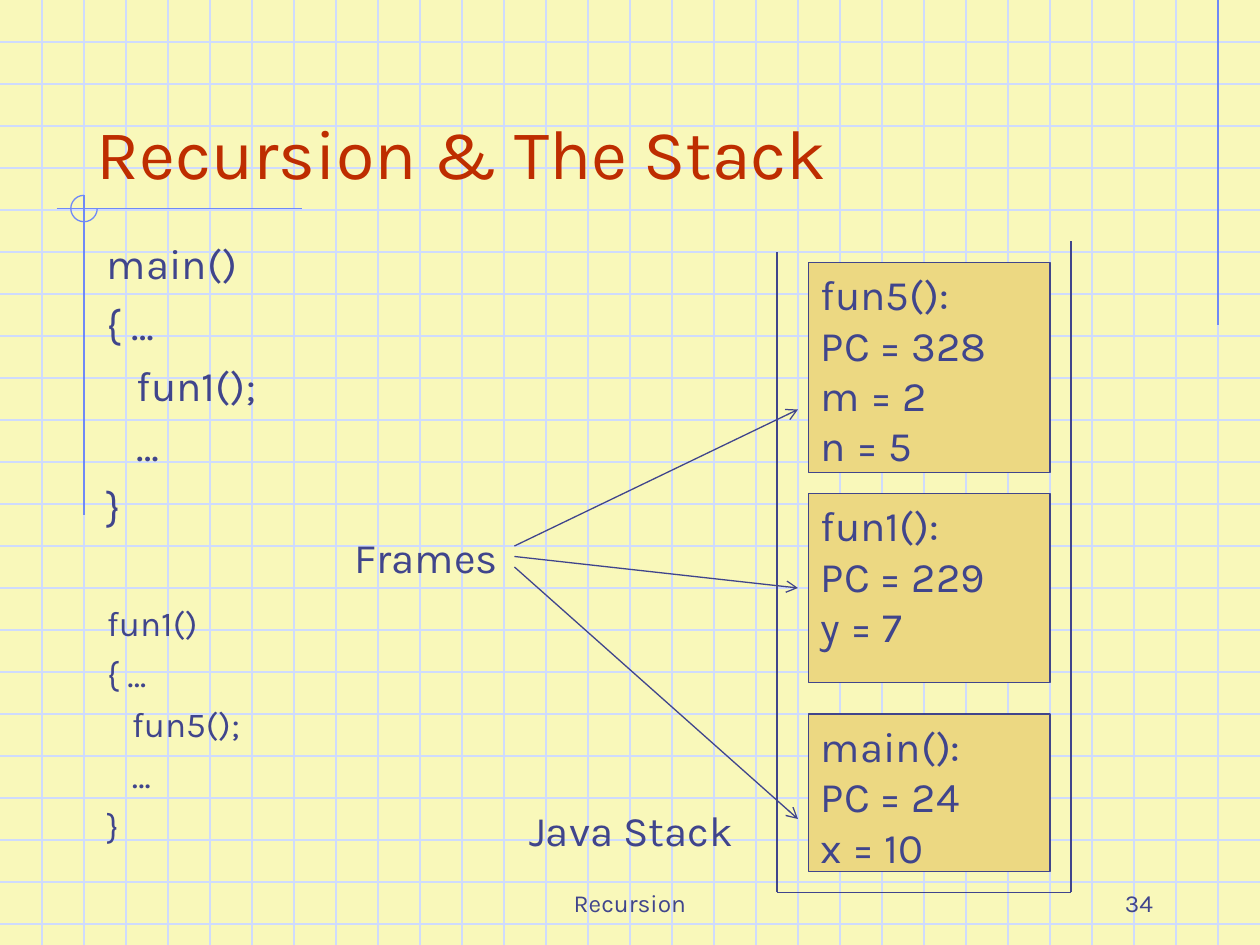
from lxml.etree import SubElement
from pptx import Presentation
from pptx.dml.color import RGBColor
from pptx.enum.shapes import MSO_CONNECTOR, MSO_SHAPE
from pptx.enum.text import MSO_ANCHOR, MSO_AUTO_SIZE, PP_ALIGN
from pptx.oxml.ns import qn
from pptx.util import Inches, Pt

# Every length is in units of a 120 x 90 grid: twelve units to the inch.
COLS, ROWS, CELL = 120, 90, 4
FONT = "Karla"
PAPER, RULE, ACCENT = "F9F8BA", "CFDBFD", "6F89F7"
INK, RED, TAN = "40458C", "BE2D00", "ECD882"

MAIN_CODE = ["main()", "{ …", "   fun1();", "   …", "}"]
FUN1_CODE = ["fun1()", "{ …", "   fun5();", "   …", "}"]
# Offset from the stack's top, height, height of the arrow tip, lines
FRAMES = [
    (2, 20, 16, ["fun5():", "PC = 328", "m = 2", "n = 5"]),
    (24, 18, 33, ["fun1():", "PC = 229", "y = 7"]),
    (45, 15, 55, ["main():", "PC = 24", "x = 10"]),
]


def color(value):
    return RGBColor.from_string(value)


def units(*values):
    return [Inches(v / 12) for v in values]


def set_values(target, values):
    for name, value in values.items():
        setattr(target, name, value)


def add_line(s, start, end, line_color=INK, arrow=False):
    c = s.shapes.add_connector(MSO_CONNECTOR.STRAIGHT, *units(*start, *end))
    c.line.width = Pt(0.75)
    c.line.color.rgb = color(line_color)
    if arrow:
        SubElement(c.line._get_or_add_ln(), qn("a:tailEnd"), type="arrow")
    SubElement(c._element.spPr, qn("a:effectLst"))


def add_outline(s, preset, box, line_color, fill=None):
    sp = s.shapes.add_shape(preset, *units(*box))
    sp.shadow.inherit = False
    if fill:
        sp.fill.solid()
        sp.fill.fore_color.rgb = color(fill)
    else:
        sp.fill.background()
    sp.line.width = Pt(0.75)
    sp.line.color.rgb = color(line_color)
    return sp


def write(sp, lines, size=24, text_color=INK, align=PP_ALIGN.LEFT, **frame):
    """Fill a shape with one paragraph a line and return the paragraphs."""
    tf = sp.text_frame
    set_values(tf, {"vertical_anchor": MSO_ANCHOR.TOP,
                    "auto_size": MSO_AUTO_SIZE.NONE, "word_wrap": True, **frame})
    tf.text = "\n".join(lines)
    for p in tf.paragraphs:
        p.alignment = align
        r = p.runs[0]
        set_values(r.font, {"name": FONT, "size": Pt(size)})
        r.font.color.rgb = color(text_color)
    return tf.paragraphs


def add_text(s, box, lines, **fmt):
    return write(s.shapes.add_textbox(*units(*box)), lines, **fmt)


def add_graph_paper(s):
    for y in range(CELL, ROWS, CELL):
        add_line(s, (0, y), (COLS, y), RULE)
    for x in range(CELL, COLS, CELL):
        add_line(s, (x, 0), (x, ROWS), RULE)


def add_accents(s, x, y):
    """Margin lines crossing at (x, y) with a three-quarter circle around them."""
    radius = 1.26
    add_line(s, (COLS - CELL, 0), (COLS - CELL, 31), ACCENT)
    add_line(s, (x - 2.6, y), (x + 20.8, y), ACCENT)
    add_line(s, (x, y - radius), (x, y + 29.2), ACCENT)
    arc = add_outline(s, MSO_SHAPE.ARC,
                      (x - radius, y - radius, 2 * radius, 2 * radius), ACCENT)
    arc.adjustments[0], arc.adjustments[1] = 0, 162  # 0 to 270 degrees


def add_title(s, box, text):
    title = s.shapes.title
    set_values(title, dict(zip(("left", "top", "width", "height"), units(*box))))
    write(title, [text], size=40, text_color=RED, vertical_anchor=MSO_ANCHOR.BOTTOM)
    title.element.getparent().append(title.element)  # in front of the grid


def add_footer(s, top, height):
    for left, width, text, align in ((41, 38, "Recursion", PP_ALIGN.CENTER),
                                     (86, 25, "34", PP_ALIGN.RIGHT)):
        add_text(s, (left, top, width, height), [text], size=14, align=align,
                 vertical_anchor=MSO_ANCHOR.BOTTOM)


def add_code(s, box):
    paragraphs = add_text(s, box, MAIN_CODE + FUN1_CODE)
    first = len(MAIN_CODE)
    for p in paragraphs[1:first]:
        p.space_before = Pt(6)
    for p in paragraphs[first:]:
        p.space_before = Pt(5)
        p.runs[0].font.size = Pt(20)
    paragraphs[first].space_before = Pt(40)


def add_stack(s, box):
    """Open-topped stack with its frames, and the arrows that point at them."""
    left, top, width, height = box
    right, bottom = left + width, top + height
    corners = [(left, top + 1), (left, bottom), (right, bottom), (right, top)]
    for start, end in zip(corners, corners[1:]):
        add_line(s, start, end)
    for i, (offset, frame_height, tip, lines) in enumerate(FRAMES):
        frame = add_outline(s, MSO_SHAPE.RECTANGLE,
                            (left + 3, top + offset, width - 5, frame_height),
                            INK, TAN)
        write(frame, lines, word_wrap=False)
        add_line(s, (left - 25, top + 29 + i), (left + 2, top + tip), arrow=True)
    for label, x, y, label_width in (("Frames", left - 41.4, top + 27, 17.3),
                                     ("Java Stack", left - 24.8, top + 53, 22)):
        add_text(s, (x, y, label_width, 6), [label], word_wrap=False,
                 auto_size=MSO_AUTO_SIZE.SHAPE_TO_FIT_TEXT)


def main():
    prs = Presentation()
    prs.slide_width, prs.slide_height = units(COLS, ROWS)
    s = prs.slides.add_slide(prs.slide_layouts[5])
    s.background.fill.solid()
    s.background.fill.fore_color.rgb = color(PAPER)
    add_graph_paper(s)
    add_accents(s, 8, 19.86)
    add_footer(s, 82, 6)
    add_title(s, (8, 4, 102, 15), "Recursion & The Stack")
    add_stack(s, (74, 23, 28, 62))
    add_code(s, (9, 22, 45, 68))
    prs.save("out.pptx")


if __name__ == "__main__":
    main()
